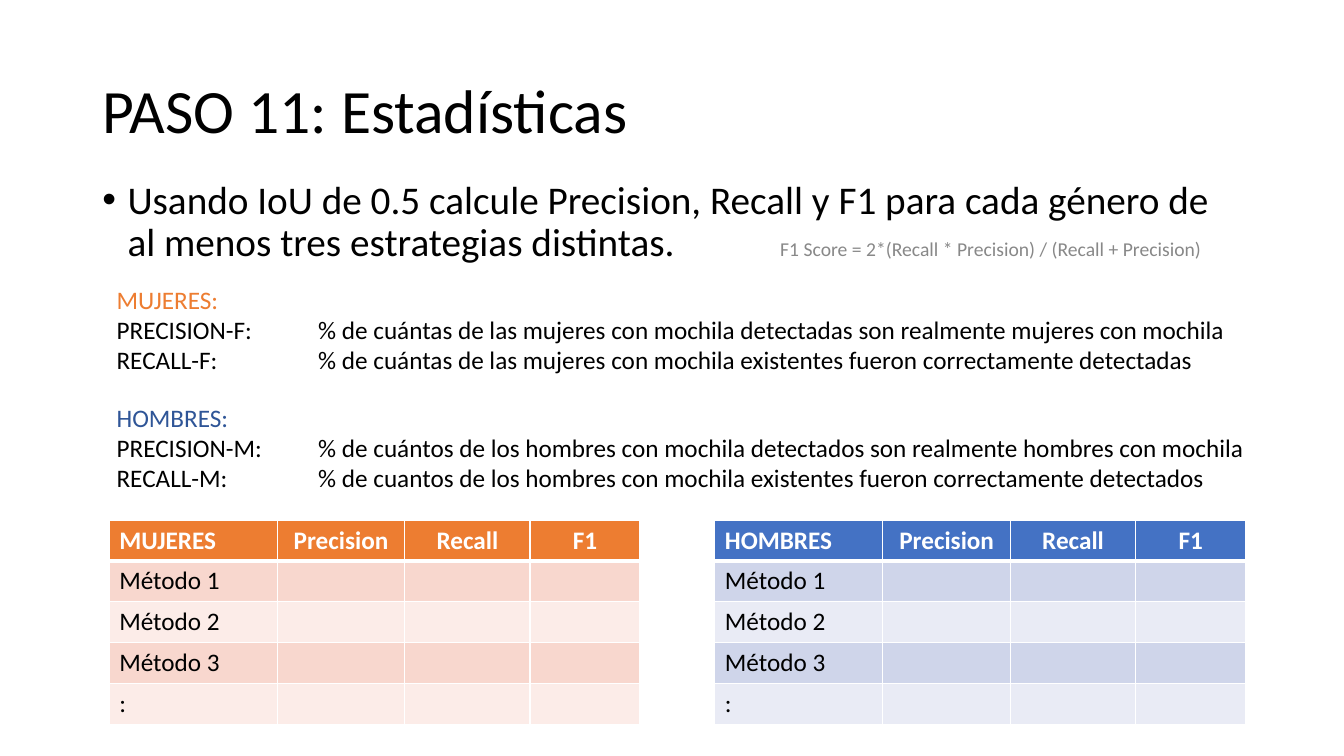
from dataclasses import dataclass

from lxml import etree
from pptx import Presentation
from pptx.dml.color import RGBColor
from pptx.enum.text import MSO_ANCHOR, PP_ALIGN
from pptx.oxml.ns import qn
from pptx.util import Inches, Pt

LEFT, CENTER = PP_ALIGN.LEFT, PP_ALIGN.CENTER
TOP, MIDDLE = MSO_ANCHOR.TOP, MSO_ANCHOR.MIDDLE
GRID_COLUMNS, GRID_ROWS = 160, 90
BLANK_LAYOUT = 6


@dataclass(frozen=True)
class Theme:
    font: str = "Calibri"
    text: str = "000000"
    muted: str = "888888"
    white: str = "FFFFFF"
    women: str = "ED7D31"
    women_bands: tuple = ("F8D7CE", "FCECE8")
    men: str = "4472C4"
    men_label: str = "2F5597"
    men_bands: tuple = ("CFD5EA", "E9EBF5")
    title_size: int = 44
    body_size: int = 28
    detail_size: int = 18
    note_size: int = 14


def write_text(para, text, *, theme, size, color=None, bold=False, align=LEFT,
               line_spacing=None, bullet=False, tab=None):
    """Fill one paragraph with text in the given format."""
    para.alignment = align
    if line_spacing:
        para.line_spacing = line_spacing
    span = para.add_run()
    span.text = text
    span.font.name = theme.font
    span.font.size = Pt(size)
    span.font.bold = bold
    span.font.color.rgb = RGBColor.from_string(color or theme.text)
    properties = para._p.get_or_add_pPr()
    if bullet:
        properties.set("marL", str(Inches(0.25)))
        properties.set("indent", str(-Inches(0.25)))
        etree.SubElement(properties, qn("a:buFont"), typeface="Arial")
        etree.SubElement(properties, qn("a:buChar"), char="•")
    if tab:
        stops = etree.SubElement(properties, qn("a:tabLst"))
        etree.SubElement(stops, qn("a:tab"), pos=str(Inches(tab)), algn="l")


class SlideBuilder:
    def __init__(self, deck, theme):
        self.theme = theme
        self.slide = deck.slides.add_slide(deck.slide_layouts[BLANK_LAYOUT])
        self.column = deck.slide_width / GRID_COLUMNS
        self.row = deck.slide_height / GRID_ROWS

    def place(self, left, top, width, height):
        """Turn grid units into slide lengths."""
        return (round(left * self.column), round(top * self.row),
                round(width * self.column), round(height * self.row))

    def text(self, area, lines, *, anchor=TOP, **style):
        """Add a text box; each line is a text and its own format."""
        box = self.slide.shapes.add_textbox(*self.place(*area))
        frame = box.text_frame
        frame.word_wrap = True
        frame.vertical_anchor = anchor
        for index, (line, line_style) in enumerate(lines):
            para = frame.add_paragraph() if index else frame.paragraphs[0]
            write_text(para, line, theme=self.theme, **{**style, **line_style})

    def border(self, cell, **widths):
        """Draw white cell borders, widths in points by side."""
        properties = cell._tc.get_or_add_tcPr()
        for index, side in enumerate("LRTB"):
            line = etree.Element(qn(f"a:ln{side}"), w=str(Pt(widths.get(side, 1))))
            fill = etree.SubElement(line, qn("a:solidFill"))
            etree.SubElement(fill, qn("a:srgbClr"), val=self.theme.white)
            properties.insert(index, line)

    def table(self, left, top, widths, row_height, rows, *, head, bands):
        """Add a table with a coloured head and banded rows."""
        area = self.place(left, top, sum(widths), row_height * len(rows))
        table = self.slide.shapes.add_table(len(rows), len(widths), *area).table
        for column, width in zip(table.columns, widths):
            column.width = round(width * self.column)
        for y, values in enumerate(rows):
            table.rows[y].height = round(row_height * self.row)
            for x, value in enumerate(values):
                cell = table.cell(y, x)
                cell.fill.solid()
                cell.fill.fore_color.rgb = RGBColor.from_string(
                    bands[(y - 1) % 2] if y else head)
                self.border(cell, T=3 if y == 1 else 1, B=1 if y else 3)
                if value:
                    write_text(cell.text_frame.paragraphs[0], value,
                               theme=self.theme, size=self.theme.detail_size,
                               color=None if y else self.theme.white,
                               bold=y == 0, align=CENTER if x else LEFT)


def main():
    deck = Presentation()
    deck.slide_width, deck.slide_height = Inches(13.33), Inches(7.5)
    theme = Theme()
    page = SlideBuilder(deck, theme)

    # Title, task and formula
    page.text((11, 4.8, 138, 17.4), [("PASO 11: Estadísticas", {})],
              anchor=MIDDLE, size=theme.title_size, line_spacing=0.9)
    page.text((11, 20.9, 138, 14.6),
              [("Usando IoU de 0.5 calcule Precision, Recall y F1 para cada "
                "género de al menos tres estrategias distintas.", {})],
              size=theme.body_size, line_spacing=0.9, bullet=True)
    page.text((91.7, 27.6, 57.3, 4),
              [("F1 Score = 2*(Recall * Precision) / (Recall + Precision)", {})],
              size=theme.note_size, color=theme.muted)

    # Definitions and result tables for each gender
    groups = [
        ("MUJERES", theme.women, theme.women, theme.women_bands, 33.2, 13,
         "PRECISION-F:\t% de cuántas de las mujeres con mochila detectadas "
         "son realmente mujeres con mochila",
         "RECALL-F:\t% de cuántas de las mujeres con mochila existentes "
         "fueron correctamente detectadas"),
        ("HOMBRES", theme.men_label, theme.men, theme.men_bands, 47.3, 85.1,
         "PRECISION-M:\t% de cuántos de los hombres con mochila detectados "
         "son realmente hombres con mochila",
         "RECALL-M:\t% de cuantos de los hombres con mochila existentes "
         "fueron correctamente detectados"),
    ]
    methods = ["Método 1", "Método 2", "Método 3", ":"]
    for name, label, head, bands, text_top, table_left, precision, recall in groups:
        page.text((12.7, text_top, 138, 12.1),
                  [(f"{name}:", {"color": label}),
                   (precision, {"tab": 2}), (recall, {"tab": 2})],
                  size=theme.detail_size)
        rows = [[name, "Precision", "Recall", "F1"]]
        rows += [[method, "", "", ""] for method in methods]
        page.table(table_left, 61.9, (20, 15.2, 14.9, 13.1), 4.87, rows,
                   head=head, bands=bands)

    deck.save("out.pptx")


if __name__ == "__main__":
    main()
